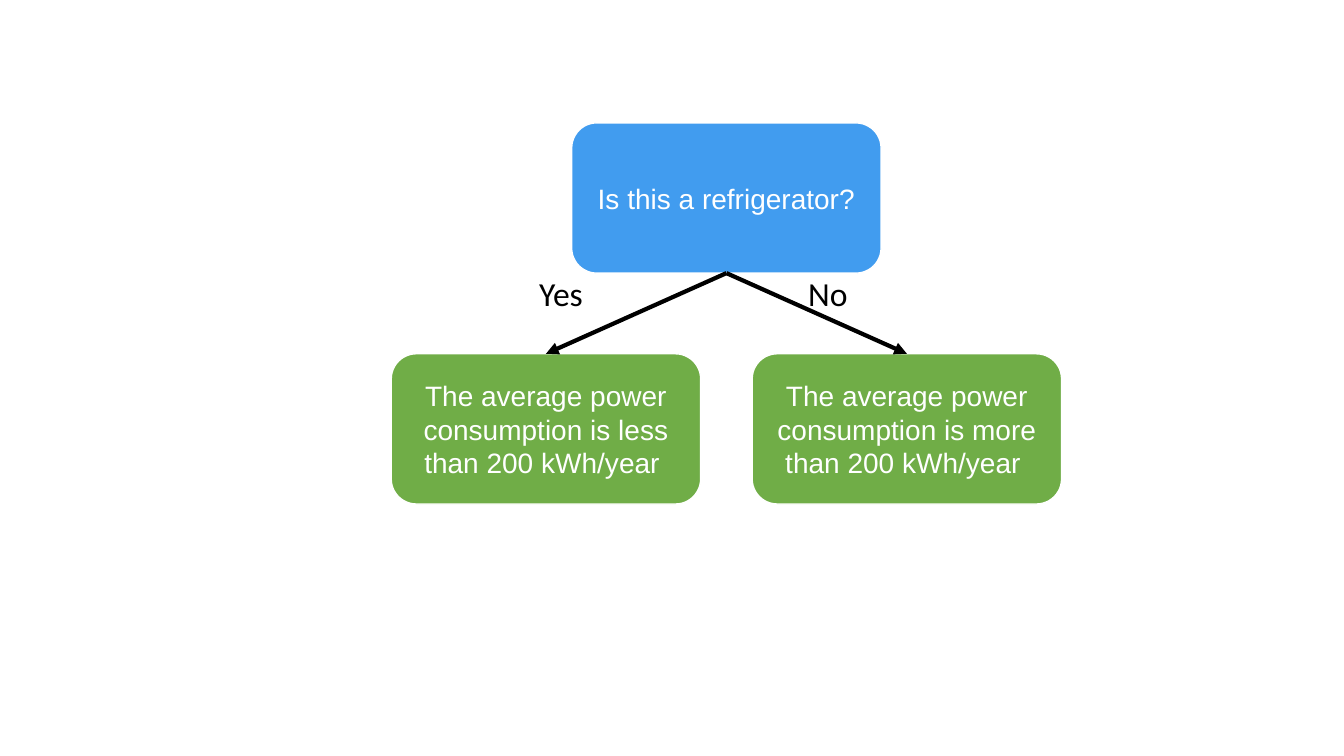
from lxml.etree import SubElement
from pptx import Presentation
from pptx.dml.color import RGBColor
from pptx.enum.shapes import MSO_CONNECTOR, MSO_SHAPE
from pptx.enum.text import MSO_ANCHOR, MSO_AUTO_SIZE, PP_ALIGN
from pptx.oxml.ns import qn
from pptx.util import Pt

BLUE = RGBColor(0x41, 0x9C, 0xEF)
GREEN = RGBColor(0x70, 0xAD, 0x47)
WHITE = RGBColor(0xFF, 0xFF, 0xFF)
BLACK = RGBColor(0x00, 0x00, 0x00)

TREE_CENTER = 518.9
BRANCH_OFFSET = 128.9
QUESTION_TOP = 87.8
ANSWER_TOP = 252.7
LABEL_TOP = 191.5
TOP_SITE, BOTTOM_SITE = 0, 2

BRANCHES = [
    (-1, "less", "Yes", 378, 53.3),
    (1, "more", "No", 570.2, 49.7),
]


class DecisionTree:
    node_width = 221
    node_height = 107.3
    node_font = ("Arial", 20, WHITE)
    label_font = ("Calibri", 24, BLACK)
    label_height = 36.3

    def __init__(self, page):
        self.page = page

    def set_text(self, frame, text, style, alignment):
        frame.word_wrap = True
        para = frame.paragraphs[0]
        para.text = text
        para.alignment = alignment
        para.font.name, size, para.font.color.rgb = style
        para.font.size = Pt(size)

    def node(self, text, center, top, color):
        box = self.page.shapes.add_shape(
            MSO_SHAPE.ROUNDED_RECTANGLE,
            Pt(center - self.node_width / 2), Pt(top),
            Pt(self.node_width), Pt(self.node_height))
        box.shadow.inherit = False
        box.fill.solid()
        box.fill.fore_color.rgb = color
        box.line.color.rgb = WHITE
        box.line.width = Pt(1)
        box.text_frame.vertical_anchor = MSO_ANCHOR.MIDDLE
        self.set_text(box.text_frame, text, self.node_font, PP_ALIGN.CENTER)
        return box

    def arrow(self, parent, child):
        connector = self.page.shapes.add_connector(
            MSO_CONNECTOR.STRAIGHT, Pt(0), Pt(0), Pt(0), Pt(0))
        connector.begin_connect(parent, BOTTOM_SITE)
        connector.end_connect(child, TOP_SITE)
        connector.line.color.rgb = BLACK
        connector.line.width = Pt(3)
        SubElement(connector.get_or_add_ln(), qn("a:tailEnd"), type="triangle")
        SubElement(connector.element.spPr, qn("a:effectLst"))

    def label(self, text, left, width):
        box = self.page.shapes.add_textbox(
            Pt(left), Pt(LABEL_TOP), Pt(width), Pt(self.label_height))
        self.set_text(box.text_frame, text, self.label_font, PP_ALIGN.LEFT)
        box.text_frame.auto_size = MSO_AUTO_SIZE.SHAPE_TO_FIT_TEXT


def main():
    deck = Presentation()
    deck.slide_width, deck.slide_height = Pt(960), Pt(540)
    tree = DecisionTree(deck.slides.add_slide(deck.slide_layouts[6]))

    question = tree.node("Is this a refrigerator?", TREE_CENTER, QUESTION_TOP, BLUE)
    answers = [
        tree.node(f"The average power consumption is {amount} than 200 kWh/year ",
                  TREE_CENTER + side * BRANCH_OFFSET, ANSWER_TOP, GREEN)
        for side, amount, *_ in BRANCHES
    ]
    for answer in answers:
        tree.arrow(question, answer)
    for *_, reply, left, width in BRANCHES:
        tree.label(reply, left, width)

    deck.save("out.pptx")


if __name__ == "__main__":
    main()
